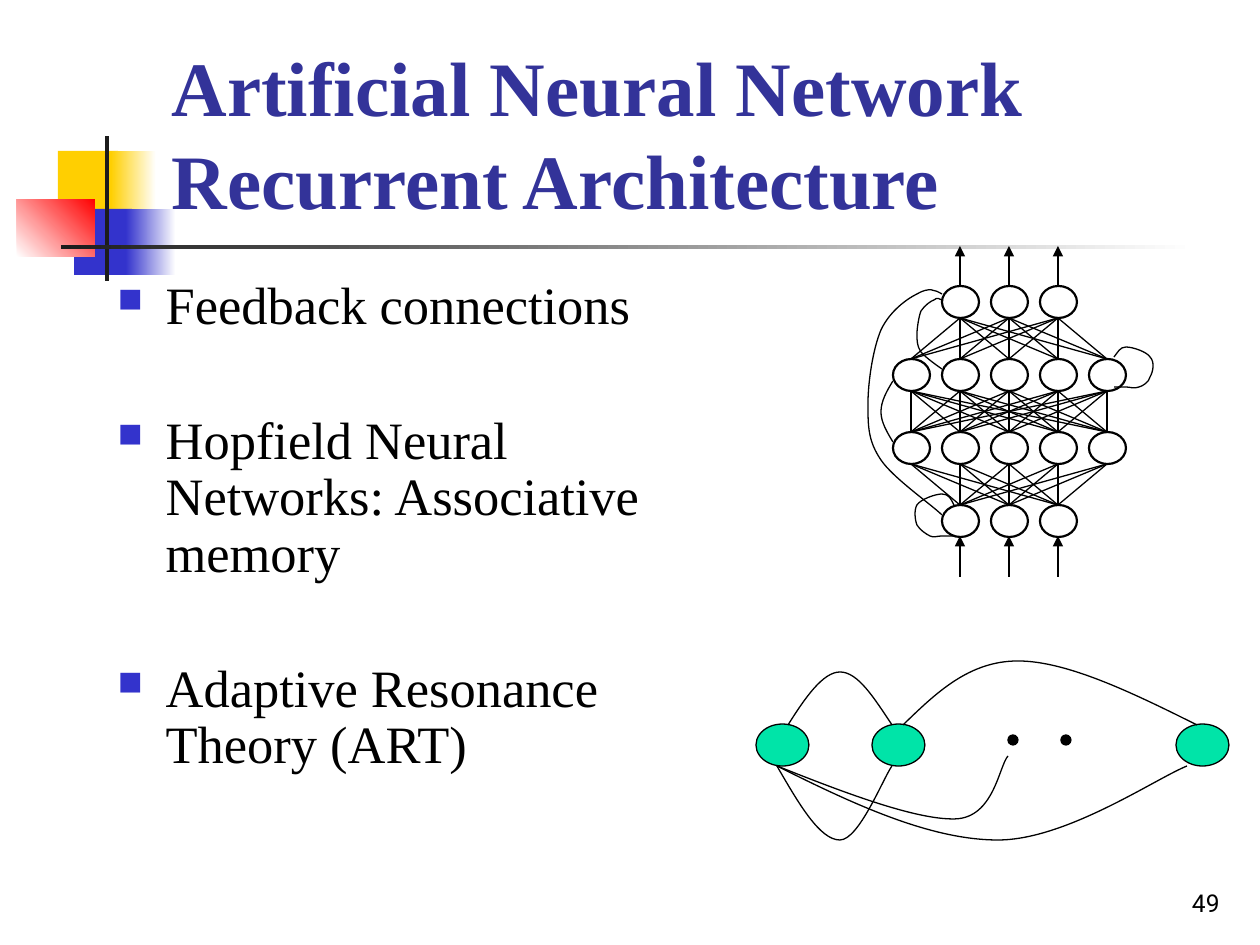
from itertools import product
from lxml.etree import SubElement
from pptx import Presentation
from pptx.dml.color import RGBColor
from pptx.enum.shapes import MSO_CONNECTOR as LINK, MSO_SHAPE as SHAPE
from pptx.enum.text import MSO_ANCHOR as ANCHOR, MSO_AUTO_SIZE as FIT, PP_ALIGN as ALIGN
from pptx.oxml.ns import qn
from pptx.util import Pt

SCALE = 914400 / 126
SERIF = "Times New Roman"


def px(n):
    return round(n * SCALE)


def color(code):
    return RGBColor.from_string(code)


def style(font, name, size, code, bold=False):
    font.name, font.size, font.bold = name, Pt(size), bold
    font.color.rgb = color(code)


def place(shape, box):
    shape.left, shape.top, shape.width, shape.height = map(px, box)


def draw(parent, kind, box, fill, line=None):
    shape = parent.shapes.add_shape(kind, *map(px, box))
    shape.shadow.inherit = False
    if isinstance(fill, tuple):
        start, end, angle = fill
        shape.fill.gradient()
        shape.fill.gradient_angle = angle
        for stop, code, pos in zip(shape.fill.gradient_stops, (start, end), (0, 1)):
            stop.color.rgb, stop.position = color(code), pos
    else:
        shape.fill.solid()
        shape.fill.fore_color.rgb = color(fill)
    if line:
        shape.line.color.rgb, shape.line.width = color("000000"), Pt(line)
    else:
        shape.line.fill.background()


def link(parent, x1, y1, x2, y2, arrow=False):
    line = parent.shapes.add_connector(LINK.STRAIGHT, px(x1), px(y1), px(x2), px(y2))
    line.line.color.rgb, line.line.width = color("000000"), Pt(0.75)
    if arrow:
        SubElement(line.line._get_or_add_ln(), qn("a:tailEnd"), type="triangle")
    SubElement(line.element.spPr, qn("a:effectLst"))


def curve(parent, x, y, points):
    """Draw Bezier arcs: a start point, then three points for each arc."""
    spots = [(px(x + a), px(y + b)) for a, b in points]
    form = parent.shapes.build_freeform(*spots[0])
    form.add_line_segments(spots[1:], close=False)
    shape = form.convert_to_shape()
    shape.shadow.inherit = False
    shape.fill.background()
    shape.line.color.rgb, shape.line.width = color("000000"), Pt(0.75)
    path = next(shape.element.iter(qn("a:path")))
    steps = path.findall(qn("a:lnTo"))
    for i in range(0, len(steps), 3):
        arc = SubElement(path, qn("a:cubicBezTo"))
        for step in steps[i:i + 3]:
            arc.append(step[0])
            path.remove(step)


def decor(slide, x, y):
    parts = [
        (41, 15, 60, 66, "FFCF01"),
        (94, 15, 45, 66, ("FFCF01", "FFFFFF", 0)),
        (57, 73, 58, 66, "3333CC"),
        (109, 73, 50, 66, ("3333CC", "FFFFFF", 0)),
        (0, 63, 78, 58, ("FFFFFF", "FF0000", 45)),
        (88, 0, 4, 145, "1C1C1C"),
        (44, 109, 1134, 4, ("1C1C1C", "FFFFFF", 0)),
    ]
    for dx, dy, w, h, fill in parts:
        draw(slide, SHAPE.RECTANGLE, (x + dx, y + dy, w, h), fill)


def head(slide, box, text):
    title = slide.shapes.title
    place(title, box)
    frame = title.text_frame
    frame.text = text
    frame.auto_size, frame.vertical_anchor = FIT.NONE, ANCHOR.BOTTOM
    para = frame.paragraphs[0]
    para.alignment = ALIGN.LEFT
    style(para.font, SERIF, 44, "333399", True)


def points(slide, box, items):
    body = slide.placeholders[1]
    place(body, box)
    frame = body.text_frame
    frame.text = "\n".join(items)
    frame.auto_size = FIT.NONE
    for i, para in enumerate(frame.paragraphs):
        para.line_spacing = 0.9
        para.space_before = Pt(44.5 if i else 0)
        props = para._p.get_or_add_pPr()
        props.set("marL", str(px(48)))
        props.set("indent", str(px(-48)))
        tint = SubElement(props, qn("a:buClr"))
        SubElement(tint, qn("a:srgbClr"), val="3333CC")
        SubElement(props, qn("a:buSzPct"), val="65000")
        SubElement(props, qn("a:buFont"), typeface="Wingdings")
        SubElement(props, qn("a:buChar"), char="n")
        style(para.font, SERIF, 30, "000000")


def number(slide, box, text):
    frame = slide.shapes.add_textbox(*map(px, box)).text_frame
    frame.word_wrap, frame.vertical_anchor = True, ANCHOR.BOTTOM
    frame.text = text
    para = frame.paragraphs[0]
    para.alignment = ALIGN.RIGHT
    style(para.font, "Roboto", 14, "000000")


def layers(slide, x, y):
    group = slide.shapes.add_group_shape()
    cols = [x + 43 + 49 * i for i in range(5)]
    rows = [y + 40 + 73 * i for i in range(4)]
    mid = cols[1:4]
    nets = [mid, cols, cols, mid]
    # Full links between neighbouring layers
    for i in range(3):
        for a, b in product(nets[i], nets[i + 1]):
            link(group, a, rows[i] + 32, b, rows[i + 1])
    # Nodes
    for top, net in zip(rows, nets):
        for a in net:
            draw(group, SHAPE.OVAL, (a - 18, top, 37, 32), "FFFFFF", 1.25)
    # Inputs and outputs
    for a, top in product(mid, (y + 290, y)):
        link(group, a, top + 41, a, top, True)
    # Feedback loops
    loops = [
        [(74, 48), (67, 44), (61, 41), (49, 48), (39, 53), (22, 65), (13, 84),
         (5, 103), (0, 136), (0, 158), (0, 180), (0, 195), (13, 214),
         (25, 232), (64, 259), (74, 269)],
        [(74, 54), (72, 53), (69, 51), (66, 54), (63, 55), (57, 59), (53, 65),
         (51, 70), (49, 82), (49, 88), (49, 95), (49, 100), (53, 106),
         (58, 112), (71, 121), (74, 123)],
        [(25, 135), (19, 145), (13, 155), (13, 166), (13, 176), (19, 186), (25, 196)],
        [(86, 259), (83, 253), (81, 248), (74, 248), (68, 248), (53, 253), (49, 259),
         (46, 264), (47, 274), (49, 279), (52, 284), (58, 288), (62, 290),
         (66, 292), (69, 290), (74, 290), (78, 290), (85, 290), (86, 290)],
        [(246, 111), (250, 106), (252, 101), (258, 101), (265, 101), (279, 106),
         (282, 111), (287, 116), (285, 126), (282, 131), (281, 136), (275, 140),
         (271, 141), (266, 143), (262, 141), (258, 141), (255, 141), (248, 141),
         (246, 141)],
    ]
    for loop in loops:
        curve(group, x, y, loop)


def chain(slide, x, y):
    group = slide.shapes.add_group_shape()
    for dx in (0, 116, 420):
        draw(group, SHAPE.OVAL, (x + dx, y + 63, 53, 42), "00E4A8", 0.75)
    arcs = [
        [(21, 105), (43, 143), (64, 179), (84, 179), (103, 179), (127, 118), (136, 105)],
        [(21, 105), (97, 143), (174, 179), (242, 179), (310, 179), (399, 118), (431, 105)],
        [(21, 105), (91, 133), (161, 159), (199, 158), (238, 157), (243, 105), (252, 95)],
        [(136, 64), (118, 37), (102, 11), (84, 11), (67, 11), (49, 37), (32, 64)],
        [(147, 64), (180, 32), (213, 0), (262, 0), (311, 0), (377, 32), (441, 64)],
    ]
    for arc in arcs:
        curve(group, x, y, arc)
    for dx in (252, 305):
        draw(group, SHAPE.OVAL, (x + dx, y + 74, 10, 10), "000000", 0.75)


def main():
    deck = Presentation()
    deck.slide_width, deck.slide_height = px(1260), px(945)
    slide = deck.slides.add_slide(deck.slide_layouts[1])
    decor(slide, 17, 136)
    number(slide, (970, 861, 262, 63), "49")
    head(slide, (159, 29, 1074, 202), "Artificial Neural Network\vRecurrent Architecture")
    points(slide, (105, 273, 566, 567), [
        "Feedback connections",
        "Hopfield Neural Networks: Associative memory",
        "Adaptive Resonance Theory (ART)",
    ])
    layers(slide, 868, 246)
    chain(slide, 756, 661)
    deck.save("out.pptx")


if __name__ == "__main__":
    main()
